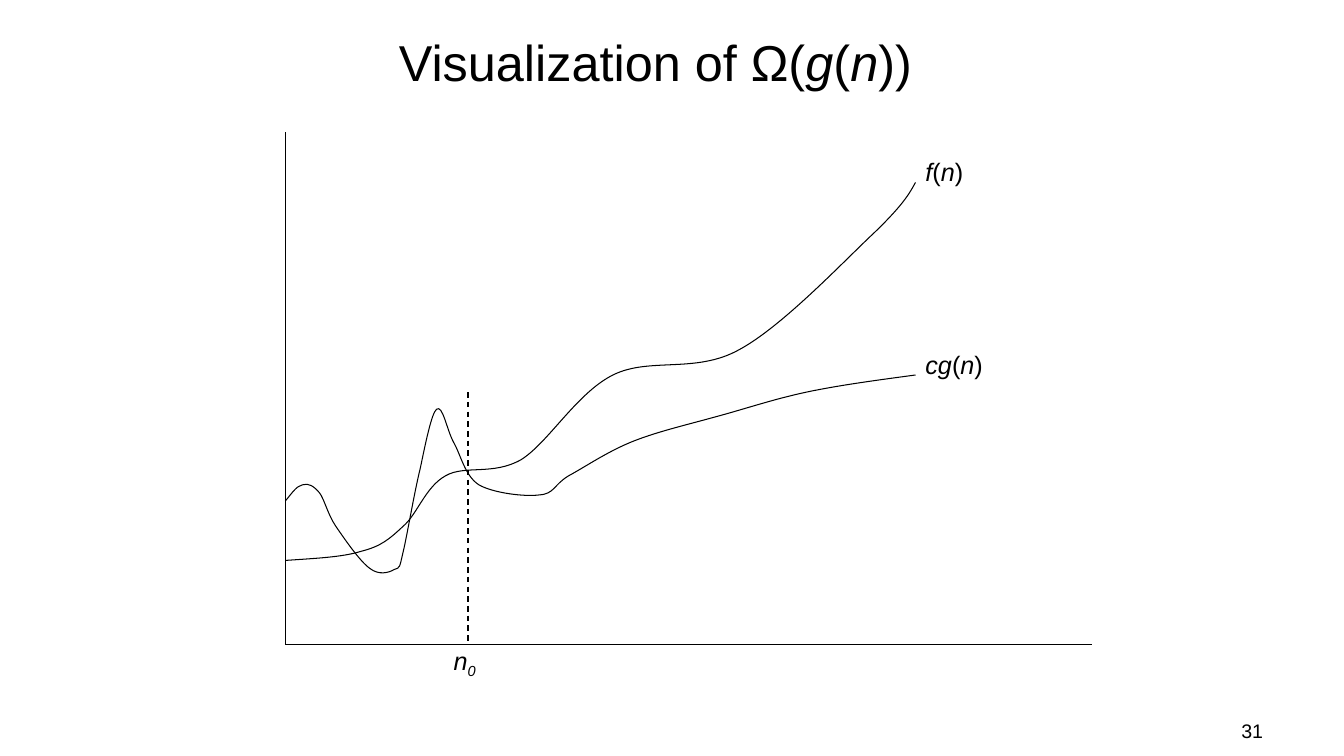
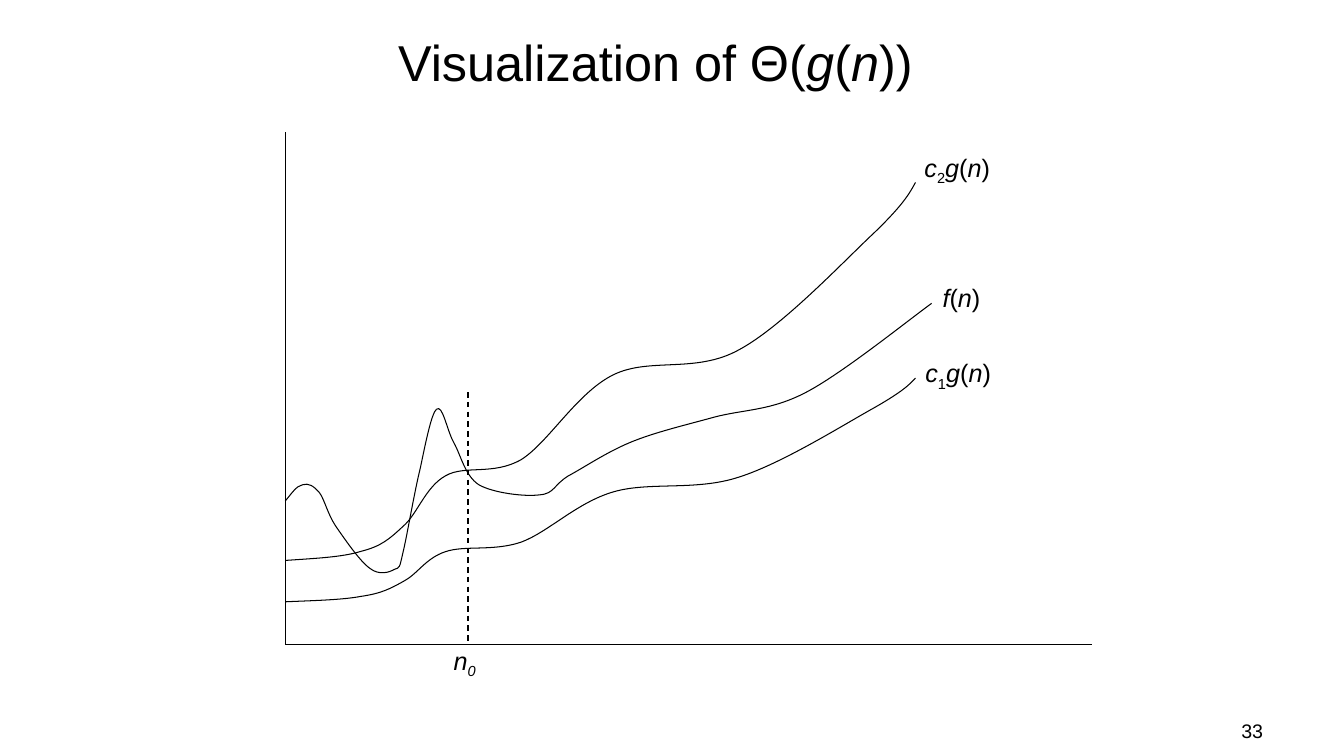
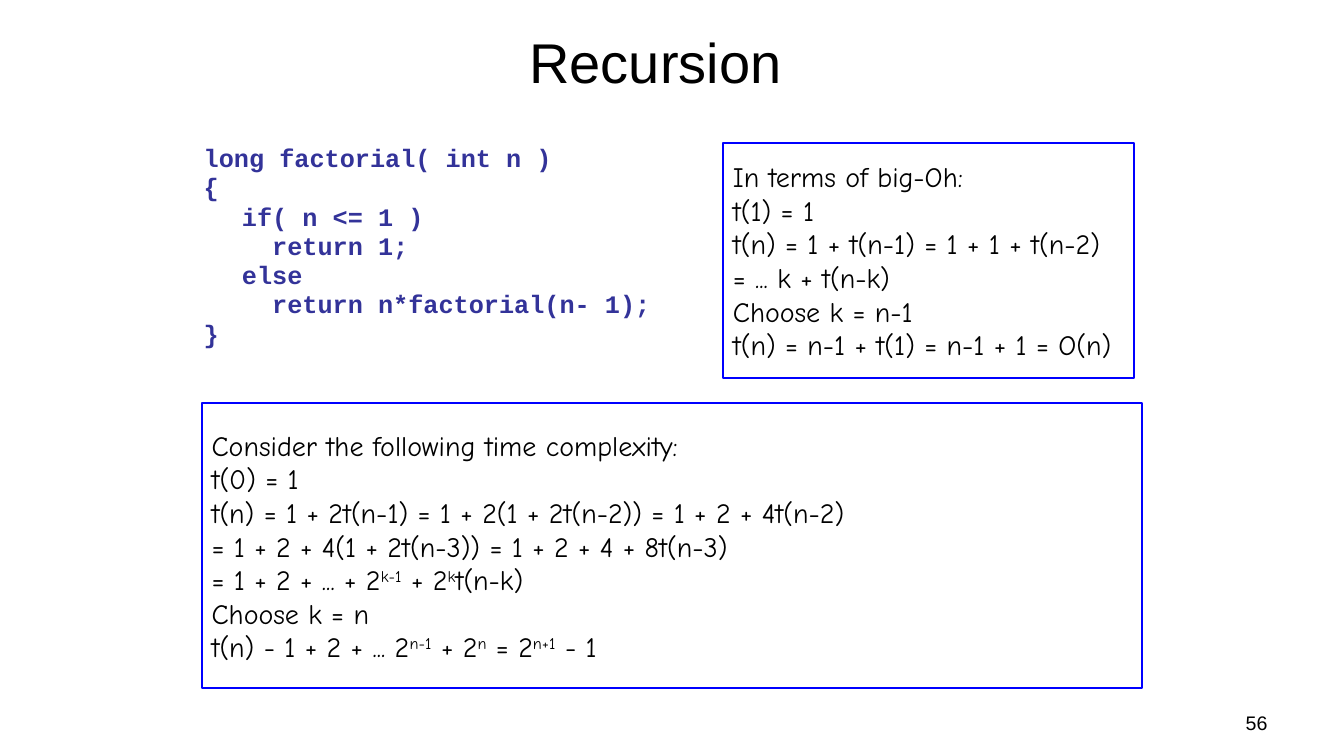
import pptx
import pptx.dml.color
import pptx.enum.dml
import pptx.enum.shapes
import pptx.enum.text
import pptx.oxml.ns
import pptx.oxml.xmlchemy
import pptx.util

Inches, Pt = pptx.util.Inches, pptx.util.Pt
PP_ALIGN, MSO_ANCHOR = pptx.enum.text.PP_ALIGN, pptx.enum.text.MSO_ANCHOR
qn, OxmlElement = pptx.oxml.ns.qn, pptx.oxml.xmlchemy.OxmlElement

# ---- Shared style ----
BLACK, NAVY, BLUE = "000000", "333399", "0000FF"
SANS, HAND, MONO = "Arial", "Comic Neue", "Courier New"
TITLE_BOX = (0.5, 0.11, 12, 0.99)
BASELINES = {"sub": "-25000", "sup": "30000"}

# ---- Content: a run is a string or (text, styles) ----
F_OF_N = [("f", "i"), "(", ("n", "i"), ")"]
G_OF_N = [("g", "i"), "(", ("n", "i"), ")"]
CG_OF_N = [("cg", "i"), *G_OF_N[1:]]
C1G_OF_N = [("c", "i"), ("1", "sub"), *G_OF_N]
C2G_OF_N = [("c", "i"), ("2", "sub"), *G_OF_N]
N_ZERO = [("n", "i"), ("0", "i sub")]

# Curves: a start point, then two control points and an end point per row
SMOOTH = [
    (2.83, 5.56),
    (3.11, 5.54), (3.39, 5.53), (3.58, 5.47),
    (3.78, 5.42), (3.86, 5.35), (4, 5.22),
    (4.14, 5.1), (4.22, 4.83), (4.42, 4.72),
    (4.61, 4.61), (4.89, 4.72), (5.17, 4.56),
    (5.44, 4.39), (5.72, 3.9), (6.08, 3.72),
    (6.44, 3.54), (6.9, 3.71), (7.33, 3.47),
    (7.76, 3.24), (8.38, 2.58), (8.67, 2.31),
    (8.96, 2.03), (9.02, 1.92), (9.08, 1.81),
]
LOWER = [(x, 5.97 - (5.56 - y) * 2.22 / 3.75) for x, y in SMOOTH]
WAVY = [
    (2.83, 4.97),
    (2.89, 4.9), (2.94, 4.82), (3, 4.81),
    (3.06, 4.79), (3.11, 4.82), (3.17, 4.89),
    (3.22, 4.96), (3.25, 5.1), (3.33, 5.22),
    (3.42, 5.35), (3.57, 5.57), (3.67, 5.64),
    (3.76, 5.71), (3.86, 5.68), (3.91, 5.65),
    (3.97, 5.63), (3.96, 5.64), (4, 5.47),
    (4.04, 5.3), (4.11, 4.88), (4.17, 4.64),
    (4.22, 4.4), (4.28, 4.1), (4.33, 4.06),
    (4.39, 4.01), (4.43, 4.26), (4.5, 4.39),
    (4.57, 4.51), (4.61, 4.72), (4.75, 4.81),
    (4.89, 4.89), (5.2, 4.93), (5.35, 4.91),
    (5.5, 4.9), (5.49, 4.81), (5.64, 4.72),
    (5.79, 4.64), (6.01, 4.49), (6.25, 4.39),
    (6.49, 4.29), (6.79, 4.22), (7.08, 4.14),
]
WAVY_FLAT = WAVY + [(7.38, 4.06), (7.67, 3.96), (8, 3.89),
                    (8.33, 3.82), (8.71, 3.77), (9.08, 3.72)]
WAVY_STEEP = WAVY + [(7.38, 4.06), (7.64, 4.08), (8, 3.89),
                     (8.36, 3.7), (8.98, 3.2), (9.24, 3.01)]

GRAPHS = [
    dict(symbol="Ω", page="31", curves=[SMOOTH, WAVY_FLAT],
         labels=[(CG_OF_N, 9.08, 3.42, 0.78), (F_OF_N, 9.08, 1.5, 0.58)]),
    dict(symbol="Θ", page="33", curves=[SMOOTH, WAVY_STEEP, LOWER],
         labels=[(C2G_OF_N, 9.07, 1.46, 0.87), (F_OF_N, 9.25, 2.75, 0.58),
                 (C1G_OF_N, 9.08, 3.5, 0.87)]),
]

CODE = ["long factorial( int n )", "{", "\tif( n <= 1 )", "\t  return 1;",
        "\telse", "\t  return n*factorial(n- 1);", "}"]
BIG_OH = ["In terms of big-Oh:", "t(1) = 1",
          "t(n) = 1 + t(n-1) = 1 + 1 + t(n-2)", "= ... k + t(n-k)",
          "Choose k = n-1", "t(n) = n-1 + t(1) = n-1 + 1 = O(n)"]
COMPLEXITY = [
    "Consider the following time complexity:", "t(0) = 1",
    "t(n) = 1 + 2t(n-1) = 1 + 2(1 + 2t(n-2)) = 1 + 2 + 4t(n-2)",
    "= 1 + 2 + 4(1 + 2t(n-3)) = 1 + 2 + 4 + 8t(n-3)",
    ["= 1 + 2 + ... + 2", ("k-1", "sup"), " + 2", ("k", "sup"), "t(n-k)"],
    "Choose k = n",
    ["t(n) - 1 + 2 + ... 2", ("n-1", "sup"), " + 2", ("n", "sup"),
     " = 2", ("n+1", "sup"), " - 1"],
]


# ---- Helpers ----
def rgb(color):
    return pptx.dml.color.RGBColor.from_string(color)


def box(*lengths):
    return [Inches(v) for v in lengths]


def write(tf, lines, size=18, font=SANS, color=BLACK, bold=False,
          align=PP_ALIGN.LEFT, anchor=MSO_ANCHOR.TOP, wrap=True):
    tf.word_wrap, tf.vertical_anchor = wrap, anchor
    for i, line in enumerate(lines):
        p = tf.add_paragraph() if i else tf.paragraphs[0]
        p.alignment = align
        for run in [line] if isinstance(line, str) else line:
            text, styles = (run, "") if isinstance(run, str) else run
            r = p.add_run()
            r.text = text
            r.font.name, r.font.size = font, Pt(size)
            r.font.color.rgb = rgb(color)
            r.font.bold = bold
            for style in styles.split():
                if style == "i":
                    r.font.italic = True
                else:
                    r.font._element.set("baseline", BASELINES[style])


def add_text(s, lines, at, **style):
    tf = s.shapes.add_textbox(*box(*at)).text_frame
    write(tf, lines, **style)


def place(shape, at):
    shape.left, shape.top, shape.width, shape.height = box(*at)


def new_slide(layout, title, size):
    s = prs.slides.add_slide(prs.slide_layouts[layout])
    place(s.shapes.title, TITLE_BOX)
    tf = s.shapes.title.text_frame
    write(tf, [title], size=size, align=PP_ALIGN.CENTER, anchor=MSO_ANCHOR.MIDDLE)
    tf.auto_size = pptx.enum.text.MSO_AUTO_SIZE.NONE
    return s


def add_line(s, start, end, width=0.75, dash=None):
    line = s.shapes.add_connector(
        pptx.enum.shapes.MSO_CONNECTOR.STRAIGHT, *box(*start, *end))
    line.line.color.rgb, line.line.width = rgb(BLACK), Pt(width)
    if dash:
        line.line.dash_style = dash
    line._element.spPr.append(OxmlElement("a:effectLst"))


def add_curve(s, points):
    first, *rest = [box(*pt) for pt in points]
    builder = s.shapes.build_freeform(*first)
    builder.add_line_segments(rest, close=False)
    curve = builder.convert_to_shape()
    curve.shadow.inherit = False
    curve.fill.background()
    curve.line.color.rgb, curve.line.width = rgb(BLACK), Pt(0.75)
    # Turn every three straight segments into one Bézier segment
    segments = list(curve._element.iter(qn("a:lnTo")))
    for i in range(0, len(segments), 3):
        bezier = OxmlElement("a:cubicBezTo")
        segments[i].addprevious(bezier)
        for segment in segments[i:i + 3]:
            bezier.append(segment[0])
            segment.getparent().remove(segment)


def add_frame(s, lines, at):
    frame = s.shapes.add_shape(pptx.enum.shapes.MSO_SHAPE.RECTANGLE, *box(*at))
    frame.shadow.inherit = False
    frame.fill.background()
    frame.line.color.rgb, frame.line.width = rgb(BLUE), Pt(1.5)
    write(frame.text_frame, lines, size=20, font=HAND, anchor=MSO_ANCHOR.MIDDLE)


# ---- Slides ----
def graph_slide(symbol, page, curves, labels):
    s = new_slide(5, [f"Visualization of {symbol}(", *G_OF_N, ")"], 36)
    origin = (2.83, 6.39)
    add_line(s, (2.83, 1.31), origin)
    add_line(s, origin, (10.83, 6.39))
    for points in curves:
        add_curve(s, points)
    add_line(s, (4.64, 3.89), (4.64, 6.39), 1, pptx.enum.dml.MSO_LINE.DASH)
    for label, left, top, width in [(N_ZERO, 4.4, 6.35, 0.44), *labels]:
        add_text(s, [label], (left, top, width, 0.4), wrap=False)
    add_text(s, [page], (11.51, 7.08, 1.82, 0.32), size=14, align=PP_ALIGN.CENTER)


def recursion_slide():
    s = new_slide(1, "Recursion", 40)
    body = s.placeholders[1]
    place(body, (1.92, 1.42, 9.25, 2.58))
    tf = body.text_frame
    write(tf, CODE, font=MONO, color=NAVY, bold=True)
    tf.auto_size = pptx.enum.text.MSO_AUTO_SIZE.NONE
    for i, p in enumerate(tf.paragraphs):
        p.line_spacing, p.space_before = 0.8, Pt(3.6 if i else 0)
        pPr = p._p.get_or_add_pPr()
        pPr.set("marL", str(Inches(0.38)))
        pPr.set("indent", str(-Inches(0.38)))
        pPr.append(OxmlElement("a:buNone"))
    add_frame(s, BIG_OH, (7.17, 1.42, 4.08, 2.33))
    add_frame(s, COMPLEXITY, (2, 4, 9.33, 2.83))
    add_text(s, ["56"], (9.56, 7, 3.11, 0.35), size=14, align=PP_ALIGN.RIGHT)


prs = pptx.Presentation()
prs.slide_width, prs.slide_height = box(13.33, 7.5)
for graph in GRAPHS:
    graph_slide(**graph)
recursion_slide()
prs.save("out.pptx")
